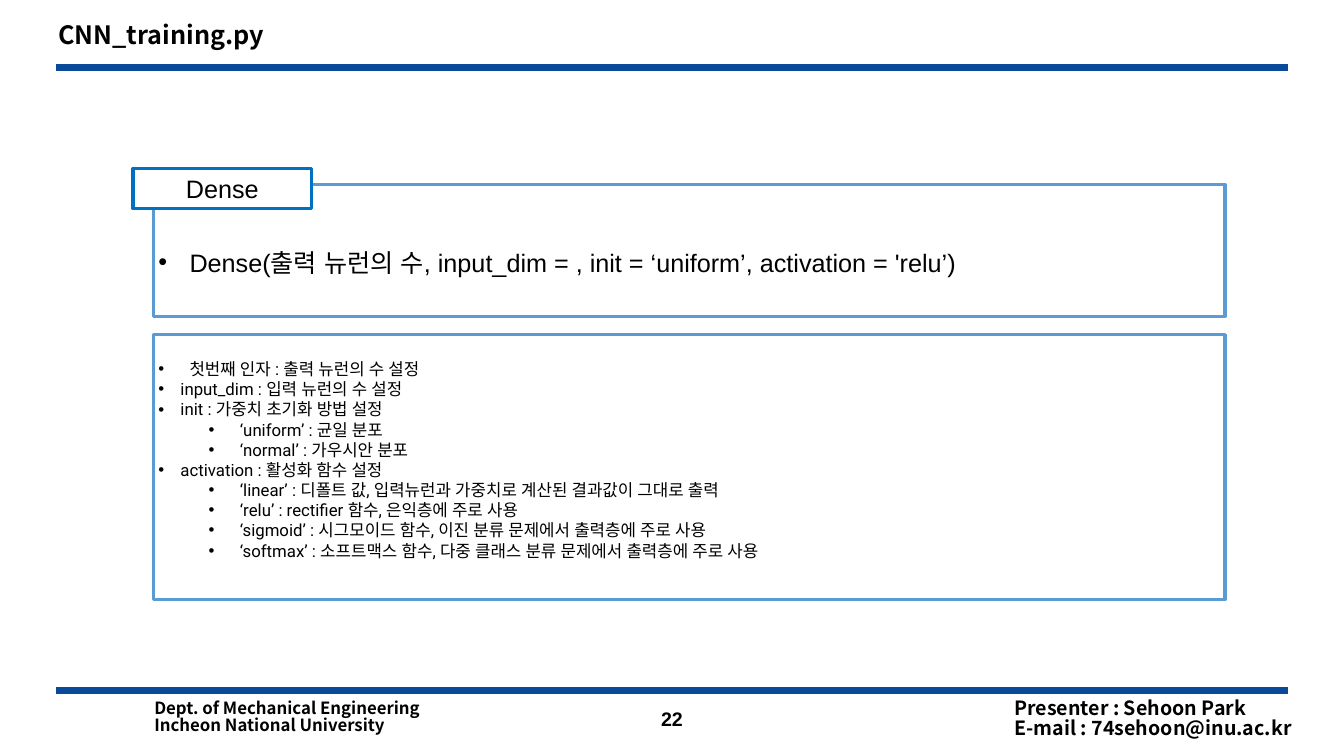
import dataclasses

import pptx
import pptx.dml.color
import pptx.enum.shapes
import pptx.enum.text
import pptx.oxml.ns
import pptx.util
from lxml import etree

EMU_PER_PX = 9144
ALIGN = pptx.enum.text.PP_ALIGN
ANCHOR = pptx.enum.text.MSO_ANCHOR


@dataclasses.dataclass(frozen=True)
class Theme:
    """Colours, fonts and type sizes of the slide."""
    ink: str = "000000"
    paper: str = "FFFFFF"
    rule: str = "094A9A"
    panel: str = "5B9BD5"
    tag: str = "0070C0"
    heading_font: str = "Noto Sans CJK KR"
    body_font: str = "Arial"
    argument_font: str = "Roboto"
    large: int = 18
    medium: int = 14
    small: int = 12
    rule_width: float = 5
    border_width: float = 2.25
    heading_spacing: float = 0.84


THEME = Theme()
ARGUMENTS = [
    ("첫번째 인자 : 출력 뉴런의 수 설정", 31, 31),
    ("input_dim : 입력 뉴런의 수 설정", 22, 22),
    ("init : 가중치 초기화 방법 설정", 22, 22),
    ("‘uniform’ : 균일 분포", 81, 31),
    ("‘normal’ : 가우시안 분포", 81, 31),
    ("activation : 활성화 함수 설정", 22, 22),
    ("‘linear’ : 디폴트 값, 입력뉴런과 가중치로 계산된 결과값이 그대로 출력", 81, 31),
    ("‘relu’ : rectifier 함수, 은익층에 주로 사용", 81, 31),
    ("‘sigmoid’ : 시그모이드 함수, 이진 분류 문제에서 출력층에 주로 사용", 81, 31),
    ("‘softmax’ : 소프트맥스 함수, 다중 클래스 분류 문제에서 출력층에 주로 사용", 81, 31),
]


def px(length):
    """Turn px into EMU."""
    return pptx.util.Emu(length * EMU_PER_PX)


def rgb(code):
    """Turn a hex code into a colour."""
    return pptx.dml.color.RGBColor.from_string(code)


def add_bullet(paragraph, margin, hang):
    """Give a paragraph a hanging bullet."""
    properties = paragraph._p.get_or_add_pPr()
    properties.set("marL", str(px(margin)))
    properties.set("indent", str(-px(hang)))
    font = etree.SubElement(properties, pptx.oxml.ns.qn("a:buFont"))
    font.set("typeface", THEME.body_font)
    bullet = etree.SubElement(properties, pptx.oxml.ns.qn("a:buChar"))
    bullet.set("char", "•")


def write(frame, text, *, font, size, bold=False, align=ALIGN.LEFT, spacing=None,
          bullet=None, first=True):
    """Write one formatted paragraph into a text frame."""
    paragraph = frame.paragraphs[0] if first else frame.add_paragraph()
    if bullet:
        add_bullet(paragraph, *bullet)
    paragraph.alignment = align
    paragraph.line_spacing = spacing
    run = paragraph.add_run()
    run.text = text
    run.font.name, run.font.size = font, pptx.util.Pt(size)
    run.font.bold = bold
    run.font.color.rgb = rgb(THEME.ink)
    east_asian = etree.SubElement(run._r.get_or_add_rPr(), pptx.oxml.ns.qn("a:ea"))
    east_asian.set("typeface", font)


def prepare(frame, side=5, top=5, anchor=ANCHOR.TOP, wrap=True):
    """Set the insets, anchor and wrapping of a text frame."""
    frame.margin_left = frame.margin_right = px(side)
    frame.margin_top, frame.margin_bottom = px(top), px(5)
    frame.vertical_anchor, frame.word_wrap = anchor, wrap
    return frame


def add_label(slide, box, lines, size, side=5):
    """Place bold heading lines in a box."""
    label = slide.shapes.add_textbox(*map(px, box))
    frame = prepare(label.text_frame, side)
    for index, line in enumerate(lines):
        write(frame, line, font=THEME.heading_font, size=size, bold=True,
              spacing=THEME.heading_spacing, first=index == 0)


def add_panel(slide, box, border, fill=None, **layout):
    """Draw a bordered rectangle and return its text frame."""
    panel = slide.shapes.add_shape(
        pptx.enum.shapes.MSO_SHAPE.RECTANGLE, *map(px, box))
    panel.shadow.inherit = False
    if fill:
        panel.fill.solid()
        panel.fill.fore_color.rgb = rgb(fill)
    else:
        panel.fill.background()
    panel.line.color.rgb = rgb(border)
    panel.line.width = pptx.util.Pt(THEME.border_width)
    return prepare(panel.text_frame, **layout)


def add_rule(slide, left, top, width):
    """Draw a thick horizontal rule."""
    rule = slide.shapes.add_connector(
        pptx.enum.shapes.MSO_CONNECTOR.STRAIGHT,
        px(left), px(top), px(left + width), px(top))
    rule.line.color.rgb = rgb(THEME.rule)
    rule.line.width = pptx.util.Pt(THEME.rule_width)
    etree.SubElement(rule._element.spPr, pptx.oxml.ns.qn("a:effectLst"))


def add_header(slide, left, top, width):
    """Place the title above its rule."""
    add_rule(slide, left, top + 48, width)
    add_label(slide, (left - 8, top, 286, 40), ["CNN_training.py"],
              THEME.large, side=10)


def add_footer(slide, left, top, width):
    """Place department, page number and presenter below a rule."""
    add_rule(slide, left, top, width)
    add_label(slide, (left + 92, top + 6, 341, 50),
              ["Dept. of Mechanical Engineering", "Incheon National University"],
              THEME.small)
    add_label(slide, (left + 945, top + 4, 292, 57),
              ["Presenter : Sehoon Park", "E-mail : 74sehoon@inu.ac.kr"],
              THEME.medium)
    page = slide.shapes.add_textbox(*map(px, (left + 594, top + 11, 33, 34)))
    write(prepare(page.text_frame, anchor=ANCHOR.MIDDLE, wrap=False), "22",
          font=THEME.body_font, size=THEME.medium, bold=True, align=ALIGN.CENTER)


def add_signature(slide, left, top, width, height):
    """Place the Dense call with its name tag on the corner."""
    call = add_panel(slide, (left, top, width, height), THEME.panel, top=62)
    write(call, "Dense(출력 뉴런의 수, input_dim = , init = ‘uniform’, activation = 'relu’)",
          font=THEME.body_font, size=THEME.large, bullet=(31, 31))
    tag = add_panel(slide, (left - 20, top - 16, 177, 40), THEME.tag,
                    fill=THEME.paper, anchor=ANCHOR.MIDDLE)
    write(tag, "Dense", font=THEME.body_font, size=THEME.large, align=ALIGN.CENTER)


def add_arguments(slide, left, top, width, height):
    """List the arguments of the call in a panel."""
    listing = add_panel(slide, (left, top, width, height), THEME.panel, top=24)
    for index, (text, margin, hang) in enumerate(ARGUMENTS):
        write(listing, text, font=THEME.argument_font, size=THEME.small,
              bullet=(margin, hang), first=index == 0)


def main():
    """Build and save the slide."""
    deck = pptx.Presentation()
    deck.slide_width, deck.slide_height = px(1333), px(750)
    slide = deck.slides.add_slide(deck.slide_layouts[6])
    add_header(slide, 56, 19, 1221)
    add_footer(slide, 56, 685, 1221)
    add_signature(slide, 152, 183, 1063, 131)
    add_arguments(slide, 152, 332, 1063, 263)
    deck.save("out.pptx")


if __name__ == "__main__":
    main()
